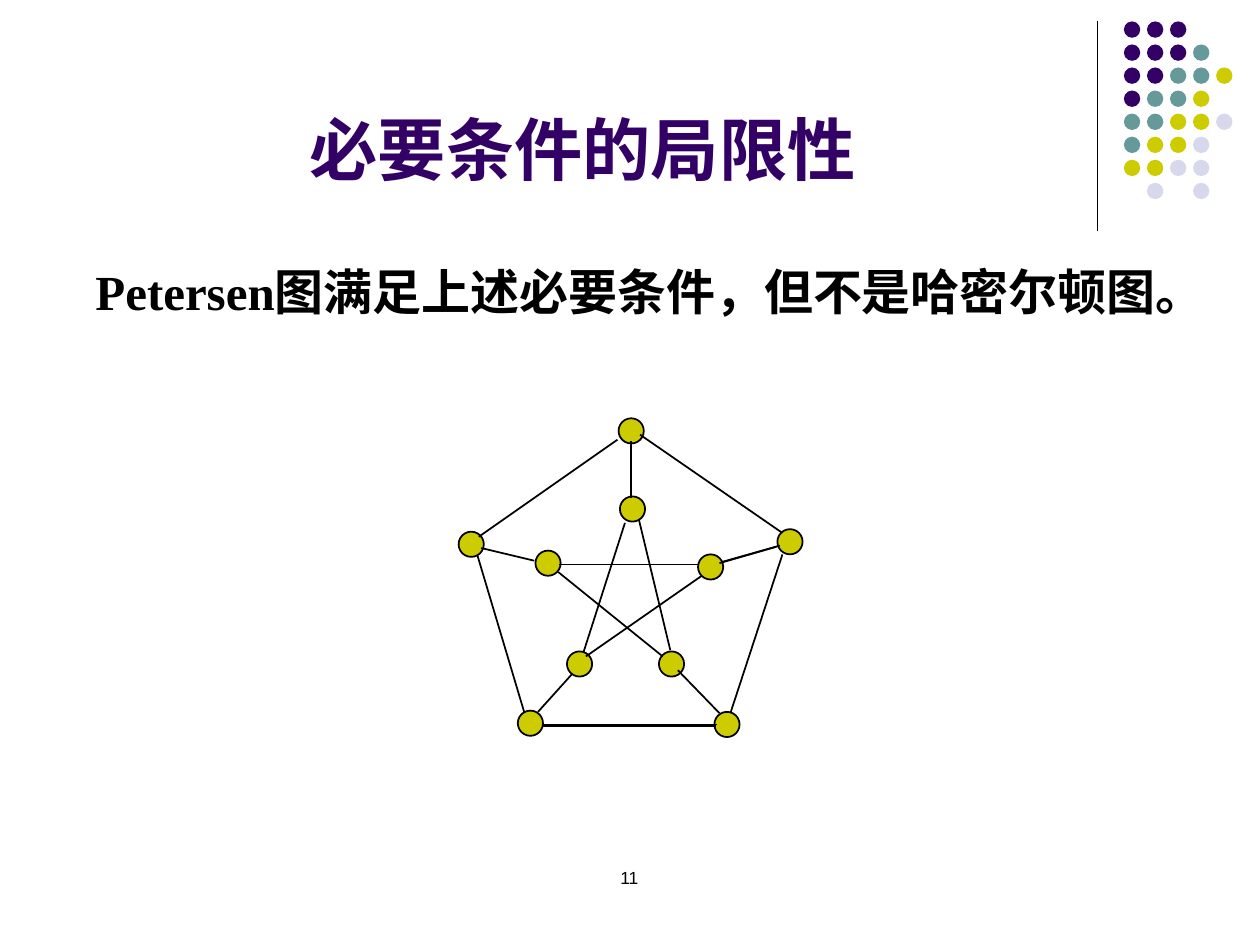
"""Build the slide on the Petersen graph and the limits of the necessary conditions."""
import dataclasses

import lxml.etree
import pptx
import pptx.dml.color
import pptx.enum.shapes
import pptx.enum.text
import pptx.oxml.ns
import pptx.util

Inches = pptx.util.Inches
BLACK, PURPLE, TEAL, OLIVE, LAVENDER = "000000", "330066", "669999", "CCCC00", "D8D8EC"
CENTER = pptx.enum.text.PP_ALIGN.CENTER
ANCHOR = pptx.enum.text.MSO_ANCHOR


@dataclasses.dataclass(frozen=True)
class Circle:
    left: float
    top: float
    size: float
    fill: str
    outline: float = 0


@dataclasses.dataclass(frozen=True)
class Edge:
    x1: float
    y1: float
    x2: float
    y2: float
    width: float = 1


DOT_ROWS = ["PPP", "PPPT", "PPTTO", "PTTO", "TTOOL", "TOOL", "OOLL", " L L"]
DOT_COLORS = {"P": PURPLE, "T": TEAL, "O": OLIVE, "L": LAVENDER}
DOT_LEFT, DOT_TOP, DOT_PITCH, DOT_SIZE = 8.92, 0.17, 0.183, 0.13
DIVIDER = Edge(8.71, 0.17, 8.71, 1.83, 0.75)

VERTEX_SIZE = 0.2
OUTER_VERTICES = [(4.91, 3.32), (6.17, 4.2), (3.64, 4.22), (4.11, 5.64), (5.67, 5.65)]
INNER_VERTICES = [(4.92, 3.94), (4.25, 4.37), (4.5, 5.17), (5.23, 5.17), (5.54, 4.4)]
PENTAGON = [
    Edge(3.8, 4.26, 4.9, 3.49),
    Edge(5.08, 3.45, 6.21, 4.23),
    Edge(3.79, 4.41, 4.16, 5.65),
    Edge(4.3, 5.76, 5.68, 5.76),
    Edge(6.21, 4.4, 5.8, 5.65),
]
STAR = [
    Edge(4.44, 4.48, 5.54, 4.48),
    Edge(4.96, 4.15, 4.63, 5.18),
    Edge(5.07, 4.12, 5.32, 5.16),
    Edge(4.65, 5.21, 5.57, 4.57),
    Edge(4.43, 4.54, 5.26, 5.21),
]
SPOKES = [
    Edge(5.01, 3.5, 5.01, 3.95),
    Edge(3.82, 4.35, 4.24, 4.45),
    Edge(5.71, 4.47, 6.16, 4.34),
    Edge(4.54, 5.35, 4.27, 5.65),
    Edge(5.38, 5.32, 5.71, 5.66),
]
OVERLAID_EDGES = [Edge(4.31, 5.75, 5.69, 5.75), Edge(5.73, 4.46, 6.19, 4.33)]


def rgb(value: str) -> pptx.dml.color.RGBColor:
    return pptx.dml.color.RGBColor.from_string(value)


def set_attributes(target, values: dict) -> None:
    for name, value in values.items():
        setattr(target, name, value)


def draw_circle(shapes, circle: Circle) -> None:
    ellipse = shapes.add_shape(
        pptx.enum.shapes.MSO_SHAPE.OVAL,
        *map(Inches, (circle.left, circle.top, circle.size, circle.size)),
    )
    ellipse.shadow.inherit = False
    ellipse.fill.solid()
    ellipse.fill.fore_color.rgb = rgb(circle.fill)
    if circle.outline:
        ellipse.line.color.rgb = rgb(BLACK)
        ellipse.line.width = pptx.util.Pt(circle.outline)
    else:
        ellipse.line.fill.background()


def draw_edge(shapes, edge: Edge) -> None:
    connector = shapes.add_connector(
        pptx.enum.shapes.MSO_CONNECTOR.STRAIGHT,
        *map(Inches, (edge.x1, edge.y1, edge.x2, edge.y2)),
    )
    connector.line.color.rgb = rgb(BLACK)
    connector.line.width = pptx.util.Pt(edge.width)
    lxml.etree.SubElement(connector._element.spPr, pptx.oxml.ns.qn("a:effectLst"))


def draw_vertices(shapes, corners: list[tuple[float, float]]) -> None:
    for left, top in corners:
        draw_circle(shapes, Circle(left, top, VERTEX_SIZE, OLIVE, 1))


def draw_edges(shapes, edges: list[Edge]) -> None:
    for edge in edges:
        draw_edge(shapes, edge)


def write(box, text: str, color: str, anchor, font: dict, alignment=None):
    frame = box.text_frame
    frame.text = text
    set_attributes(frame, {
        "word_wrap": True,
        "auto_size": pptx.enum.text.MSO_AUTO_SIZE.NONE,
        "vertical_anchor": anchor,
    })
    paragraph = frame.paragraphs[0]
    paragraph.alignment = alignment
    run_font = paragraph.runs[0].font
    set_attributes(run_font, font)
    run_font.color.rgb = rgb(color)
    return paragraph


def draw_dots(shapes) -> None:
    for row, codes in enumerate(DOT_ROWS):
        for column, code in enumerate(codes):
            if code in DOT_COLORS:
                left = DOT_LEFT + column * DOT_PITCH
                top = DOT_TOP + row * DOT_PITCH
                draw_circle(shapes, Circle(left, top, DOT_SIZE, DOT_COLORS[code]))


def main() -> None:
    deck = pptx.Presentation()
    set_attributes(deck, {"slide_width": Inches(10), "slide_height": Inches(7.5)})
    slide = deck.slides.add_slide(deck.slide_layouts[5])
    shapes = slide.shapes

    draw_edge(shapes, DIVIDER)
    draw_dots(shapes)

    heading = shapes.title
    set_attributes(heading, {
        "left": Inches(0.5), "top": Inches(0.13),
        "width": Inches(8.25), "height": Inches(1.42),
    })
    write(heading, "必要条件的局限性", PURPLE, ANCHOR.BOTTOM,
          {"name": "Arial", "size": pptx.util.Pt(39), "bold": True}, CENTER)

    statement = shapes.add_textbox(*map(Inches, (0.28, 2.03, 9.53, 0.81)))
    sentence = write(statement, "Petersen图满足上述必要条件，但不是哈密尔顿图。", BLACK, ANCHOR.TOP,
                     {"name": "Times New Roman", "size": pptx.util.Pt(28), "bold": True})
    sentence._p.get_or_add_pPr().set("marL", str(Inches(0.38)))

    draw_vertices(shapes, OUTER_VERTICES)
    draw_edges(shapes, PENTAGON)
    draw_vertices(shapes, INNER_VERTICES)
    draw_edges(shapes, STAR + SPOKES + OVERLAID_EDGES)

    page_number = shapes.add_textbox(*map(Inches, (3.83, 6.83, 2.33, 0.5)))
    write(page_number, "11", BLACK, ANCHOR.TOP,
          {"name": "Arial", "size": pptx.util.Pt(10)}, CENTER)

    deck.save("out.pptx")


if __name__ == "__main__":
    main()
